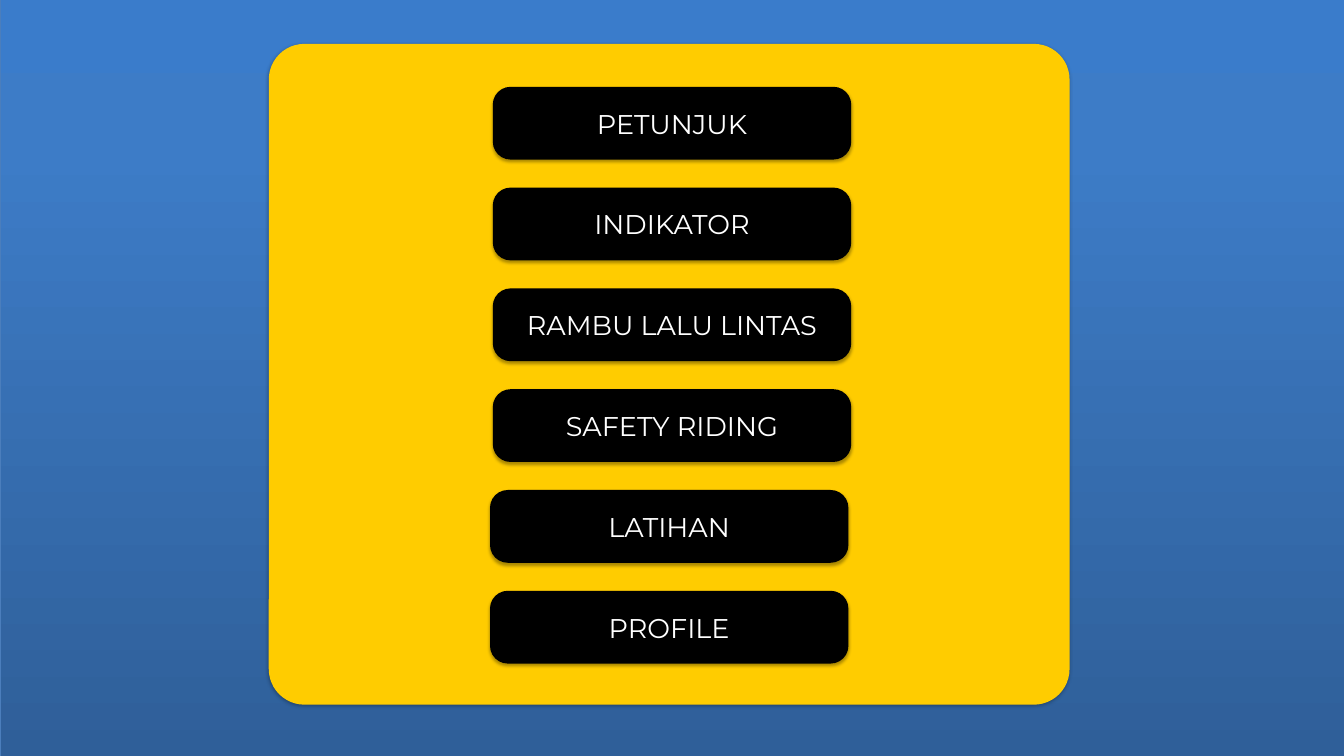
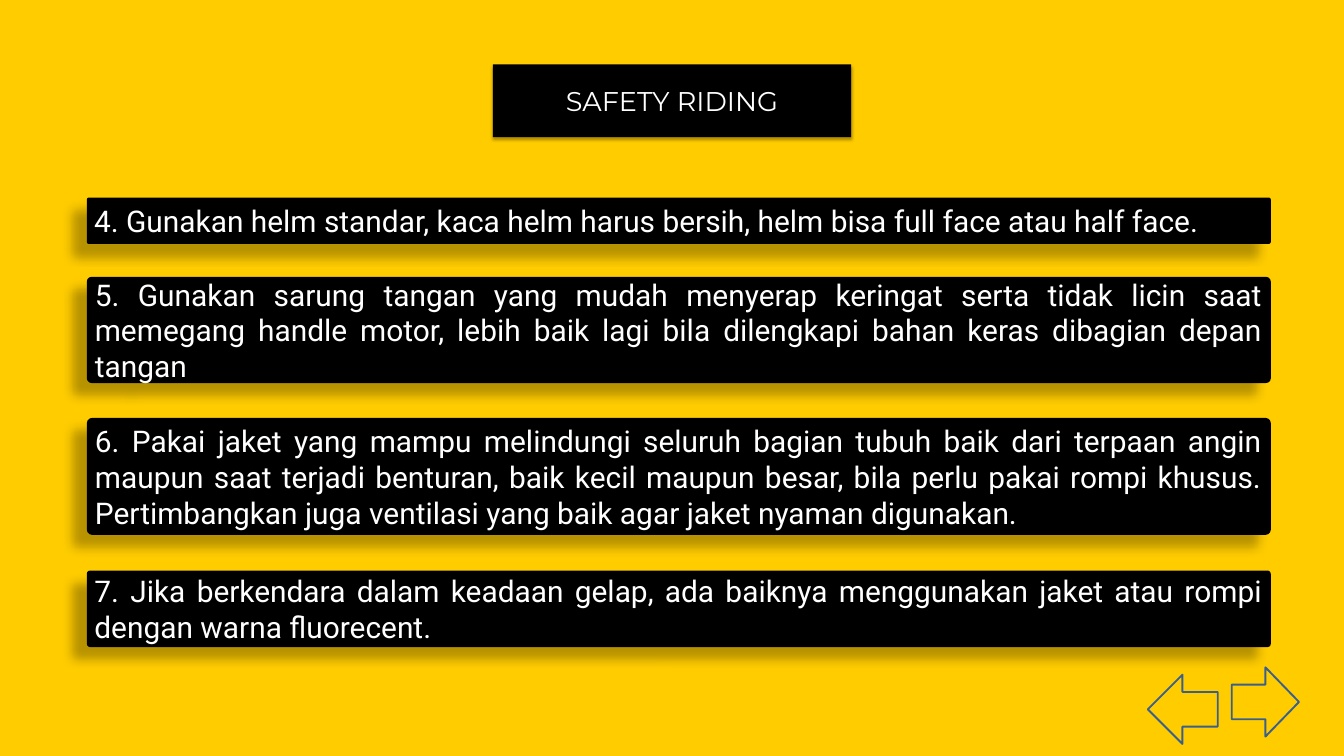
import copy
from dataclasses import dataclass

import lxml.etree
import pptx
import pptx.dml.color
import pptx.enum.shapes
import pptx.enum.text
import pptx.oxml.ns
import pptx.util

Pt = pptx.util.Pt
qn = pptx.oxml.ns.qn
SHAPE = pptx.enum.shapes.MSO_SHAPE
ALIGN = pptx.enum.text.PP_ALIGN

COLORS = {
    "yellow": "FFCC00",
    "black": "000000",
    "white": "FFFFFF",
    "arrow_line": "3A5F8C",
    "sky_line": "4B7EBC",
    "sky_dark": "2F5F99",
    "sky_middle": "3D7CC7",
    "sky_light": "3A7CCB",
}
SKY_STOPS = [(0, "sky_dark"), (0.8, "sky_middle"), (1, "sky_light")]

SLIDE_WIDTH, SLIDE_HEIGHT = 1440, 810
BUTTON_WIDTH, BUTTON_HEIGHT = 384, 78
BUTTON_LEFT = 528
BUTTON_CORNER = 0.245
MENU_TOP, MENU_STEP = 93, 108


@dataclass(frozen=True)
class Box:
    left: float
    top: float
    width: float
    height: float


@dataclass(frozen=True)
class Shadow:
    opacity: int
    blur: float
    distance: float
    angle: int


@dataclass(frozen=True)
class Button:
    text: str
    left: float = BUTTON_LEFT


@dataclass(frozen=True)
class Tip:
    text: str
    top: float
    height: float


SOFT_SHADOW = Shadow(32, 3.5, 2.2, 90)
SKY_SHADOW = Shadow(35, 3.1, 1.8, 90)
TIP_SHADOW = Shadow(28, 11.8, 19.7, 141)

MENU = [
    Button("PETUNJUK"),
    Button("INDIKATOR"),
    Button("RAMBU LALU LINTAS"),
    Button("SAFETY RIDING"),
    Button("LATIHAN", left=525),
    Button("PROFILE", left=525),
]

TIPS = [
    Tip("4. Gunakan helm standar, kaca helm harus bersih, helm bisa full face "
        "atau half face.", 211.7, 49.7),
    Tip("5. Gunakan sarung tangan yang mudah menyerap keringat serta tidak licin "
        "saat memegang handle motor, lebih baik lagi bila dilengkapi bahan keras "
        "dibagian depan tangan", 296.6, 113.8),
    Tip("6. Pakai jaket yang mampu melindungi seluruh bagian tubuh baik dari "
        "terpaan angin maupun saat terjadi benturan, baik kecil maupun besar, "
        "bila perlu pakai rompi khusus. Pertimbangkan juga ventilasi yang baik "
        "agar jaket nyaman digunakan.", 447.8, 125.3),
    Tip("7. Jika berkendara dalam keadaan gelap, ada baiknya menggunakan jaket "
        "atau rompi dengan warna fluorecent.", 611.3, 82.1),
]

ARROWS = [
    (SHAPE.RIGHT_ARROW, Box(1319.8, 715, 72, 74.2)),
    (SHAPE.LEFT_ARROW, Box(1229.8, 722.9, 74.9, 74.2)),
]


def rgb(name: str) -> pptx.dml.color.RGBColor:
    return pptx.dml.color.RGBColor.from_string(COLORS[name])


def set_shadow(shape, shadow: Shadow | None) -> None:
    shape.shadow.inherit = False
    if shadow is None:
        return
    effects = shape.element.spPr.find(qn("a:effectLst"))
    outer = lxml.etree.SubElement(
        effects, qn("a:outerShdw"), blurRad=str(Pt(shadow.blur)),
        dist=str(Pt(shadow.distance)), dir=str(shadow.angle * 60000),
        rotWithShape="0")
    color = lxml.etree.SubElement(outer, qn("a:srgbClr"), val=COLORS["black"])
    lxml.etree.SubElement(color, qn("a:alpha"), val=str(shadow.opacity * 1000))


def style_shape(shape, *, fill: str, line: str | None = None,
                line_width: float = 1, shadow: Shadow | None = None,
                corner: float | None = None) -> None:
    if corner is not None:
        shape.adjustments[0] = corner
    shape.fill.solid()
    shape.fill.fore_color.rgb = rgb(fill)
    if line:
        shape.line.color.rgb = rgb(line)
        shape.line.width = Pt(line_width)
    else:
        shape.line.fill.background()
    set_shadow(shape, shadow)


def add_shape(slide, kind, box: Box, **style):
    shape = slide.shapes.add_shape(
        kind, Pt(box.left), Pt(box.top), Pt(box.width), Pt(box.height))
    style_shape(shape, **style)
    return shape


def write_text(shape, text: str, *, font: str, size: float,
               align=ALIGN.CENTER, color: str = "white") -> None:
    frame = shape.text_frame
    frame.word_wrap = True
    frame.auto_size = pptx.enum.text.MSO_AUTO_SIZE.NONE
    frame.vertical_anchor = pptx.enum.text.MSO_ANCHOR.MIDDLE
    paragraph = frame.paragraphs[0]
    paragraph.alignment = align
    run = paragraph.add_run()
    run.text = text
    run.font.name = font
    run.font.size = Pt(size)
    run.font.color.rgb = rgb(color)


def style_button(shape, text: str) -> None:
    style_shape(shape, fill="black", shadow=SOFT_SHADOW, corner=BUTTON_CORNER)
    write_text(shape, text, font="Montserrat", size=29)


def add_title_button(slide, text: str, top: float) -> None:
    """Turn the title placeholder into a rounded button in front of the panel."""
    title = slide.shapes.title
    title.left, title.top = Pt(BUTTON_LEFT), Pt(top)
    title.width, title.height = Pt(BUTTON_WIDTH), Pt(BUTTON_HEIGHT)
    geometry = lxml.etree.SubElement(
        title.element.spPr, qn("a:prstGeom"), prst="roundRect")
    lxml.etree.SubElement(geometry, qn("a:avLst"))
    style_button(title, text)
    title.element.getparent().append(title.element)


def add_sky(slide) -> None:
    sky = add_shape(slide, SHAPE.RECTANGLE, Box(0, -3, SLIDE_WIDTH, 813),
                    fill="sky_light", line="sky_line", line_width=0.75,
                    shadow=SKY_SHADOW)
    sky.fill.gradient()
    sky.fill.gradient_angle = 90
    stop_list = sky.element.spPr.find(".//" + qn("a:gsLst"))
    stop_list.append(copy.deepcopy(stop_list[0]))
    for stop, (position, color) in zip(sky.fill.gradient_stops, SKY_STOPS):
        stop.position = position
        stop.color.rgb = rgb(color)


def build_menu(presentation) -> None:
    slide = presentation.slides.add_slide(presentation.slide_layouts[6])
    add_sky(slide)
    add_shape(slide, SHAPE.ROUNDED_RECTANGLE, Box(288, 47, 858, 708),
              fill="yellow", shadow=SOFT_SHADOW, corner=0.054)
    for index, button in enumerate(MENU):
        box = Box(button.left, MENU_TOP + index * MENU_STEP,
                  BUTTON_WIDTH, BUTTON_HEIGHT)
        shape = add_shape(slide, SHAPE.ROUNDED_RECTANGLE, box, fill="black")
        style_button(shape, button.text)


def build_safety_riding(presentation) -> None:
    slide = presentation.slides.add_slide(presentation.slide_layouts[5])
    add_shape(slide, SHAPE.ROUNDED_RECTANGLE,
              Box(0, 0, SLIDE_WIDTH, SLIDE_HEIGHT),
              fill="yellow", shadow=SOFT_SHADOW, corner=0)
    add_title_button(slide, "SAFETY RIDING", top=69)
    for tip in TIPS:
        shape = add_shape(slide, SHAPE.ROUNDED_RECTANGLE,
                          Box(93, tip.top, 1268.6, tip.height),
                          fill="black", shadow=TIP_SHADOW, corner=0.045)
        write_text(shape, tip.text, font="Roboto", size=32, align=ALIGN.JUSTIFY)
    for kind, box in ARROWS:
        add_shape(slide, kind, box, fill="yellow", line="arrow_line", line_width=2)


def main() -> None:
    presentation = pptx.Presentation()
    presentation.slide_width = Pt(SLIDE_WIDTH)
    presentation.slide_height = Pt(SLIDE_HEIGHT)
    build_menu(presentation)
    build_safety_riding(presentation)
    presentation.save("out.pptx")


if __name__ == "__main__":
    main()
